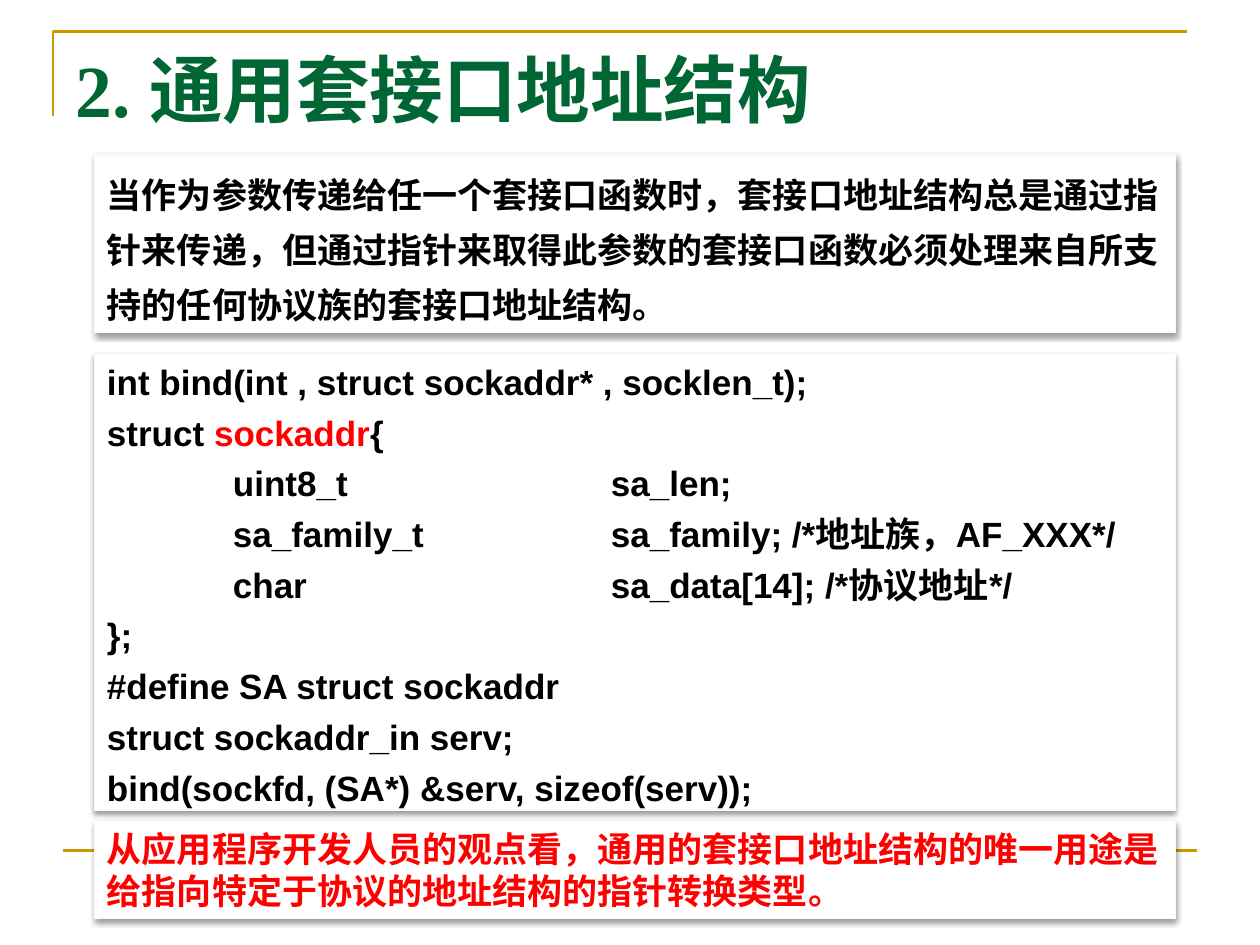
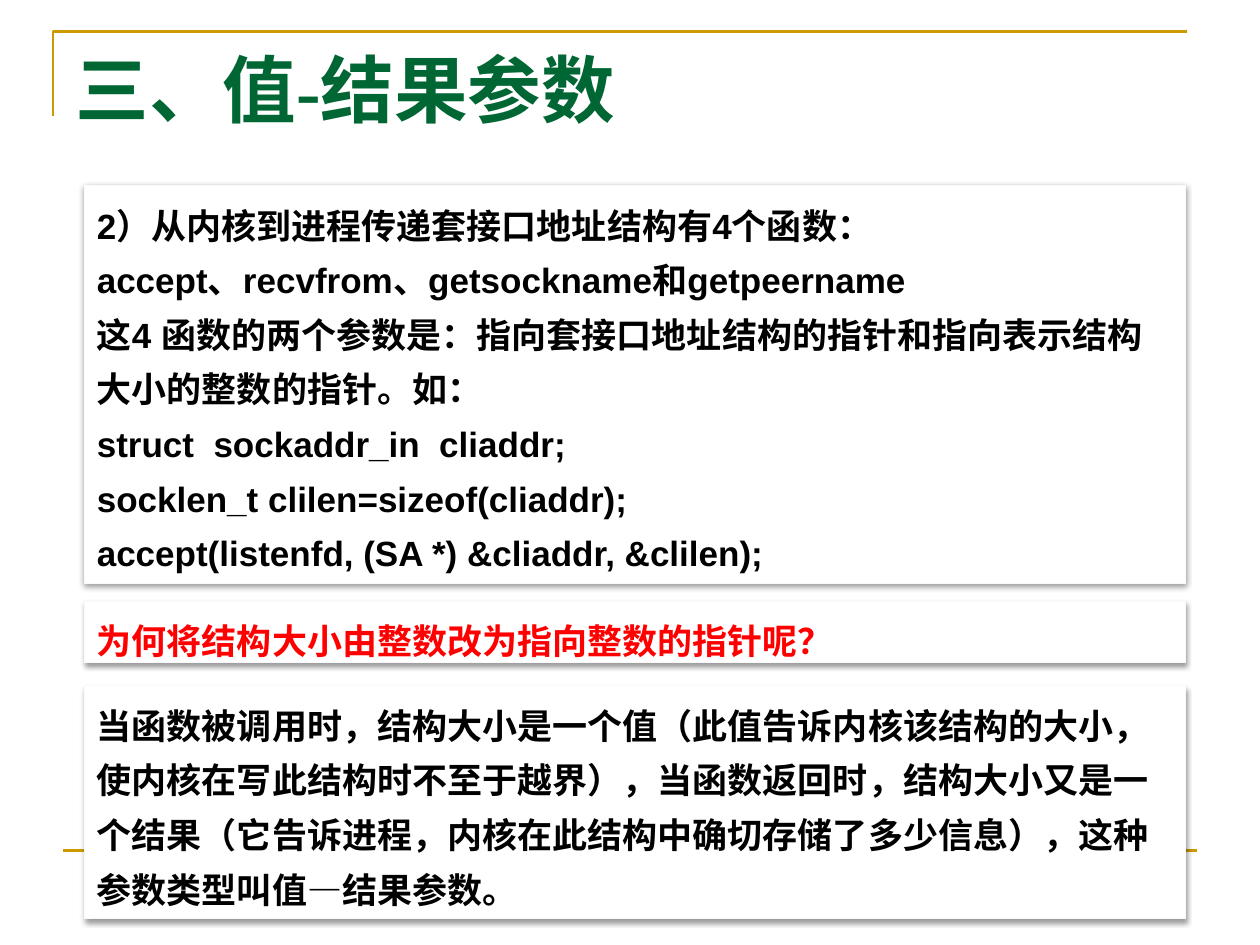
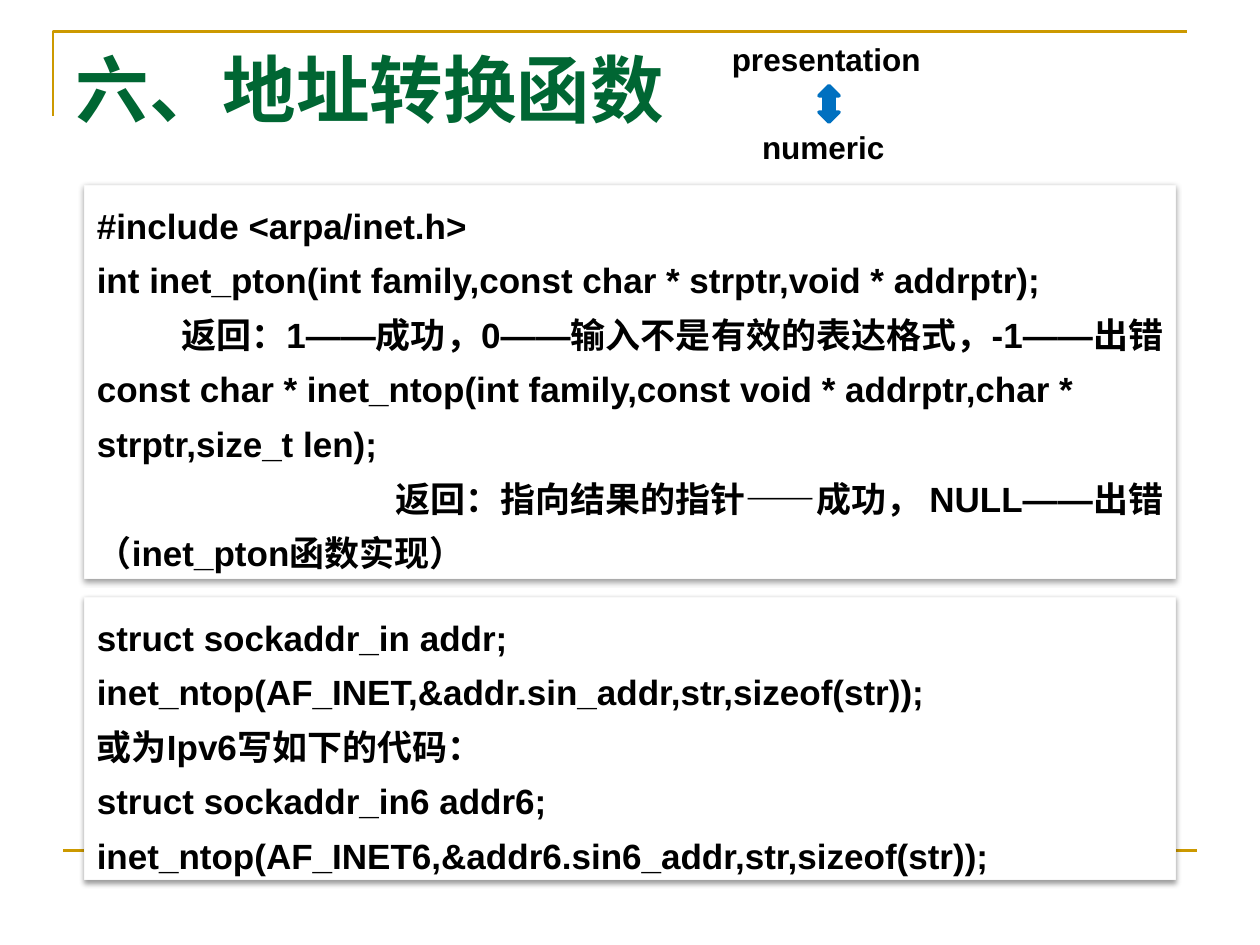
from dataclasses import dataclass

from lxml import etree
from pptx import Presentation
from pptx.dml.color import RGBColor as RGB
from pptx.enum.shapes import MSO_CONNECTOR as CONN, MSO_SHAPE as SHAPE
from pptx.enum.text import MSO_ANCHOR as ANCHOR, PP_ALIGN as ALIGN
from pptx.oxml.ns import qn
from pptx.util import Inches, Pt


@dataclass
class Theme:
    gold: RGB = RGB(0xCC, 0x99, 0x00)
    green: RGB = RGB(0x00, 0x66, 0x33)
    red: RGB = RGB(0xFF, 0x00, 0x00)
    black: RGB = RGB(0x00, 0x00, 0x00)
    white: RGB = RGB(0xFF, 0xFF, 0xFF)
    edge: RGB = RGB(0xF9, 0xF9, 0xF9)
    blue: RGB = RGB(0x00, 0x70, 0xC0)
    title_font: str = "Times New Roman"
    body_font: str = "Arial"
    title_size: Pt = Pt(42)
    body_size: Pt = Pt(20)
    label_size: Pt = Pt(18)


T = Theme()


def set_font(r, name, size, color):
    r.font.name = name
    r.font.size = size
    r.font.bold = True
    r.font.color.rgb = color


def add_card(s, at, lines, color=T.black, spacing=1.3, before=0, tabs=(), right=()):
    """White shadowed card; a line given as a tuple has its odd parts in red."""
    sp = s.shapes.add_shape(SHAPE.RECTANGLE, *map(Inches, at))
    sp.fill.solid()
    sp.fill.fore_color.rgb = T.white
    sp.line.color.rgb = T.edge
    sp.line.width = Pt(0.75)
    sp.shadow.inherit = False
    effects = sp.element.spPr.find(qn("a:effectLst"))
    shadow = etree.SubElement(effects, qn("a:outerShdw"), blurRad="40000",
                              dist="20000", dir="5400000", rotWithShape="0")
    black = etree.SubElement(shadow, qn("a:srgbClr"), val=str(T.black))
    etree.SubElement(black, qn("a:alpha"), val="38000")

    tf = sp.text_frame
    tf.word_wrap = True
    tf.vertical_anchor = ANCHOR.TOP
    for i, line in enumerate(lines):
        p = tf.paragraphs[0] if i == 0 else tf.add_paragraph()
        if tabs:
            tab_list = etree.SubElement(p._p.get_or_add_pPr(), qn("a:tabLst"))
            for pos in tabs:
                etree.SubElement(tab_list, qn("a:tab"), pos=str(Inches(pos)), algn="l")
        p.alignment = ALIGN.RIGHT if i in right else ALIGN.LEFT
        p.line_spacing = spacing
        if i:
            p.space_before = Pt(before)
        for j, part in enumerate((line,) if isinstance(line, str) else line):
            r = p.add_run()
            r.text = part
            set_font(r, T.body_font, T.body_size, T.red if j % 2 else color)


prs = Presentation()
prs.slide_width, prs.slide_height = Inches(10), Inches(7.5)
layout = prs.slide_layouts[5]

# Slides and their titles
slides = []
for title in ("2. 通用套接口地址结构", "三、值-结果参数", "六、地址转换函数"):
    s = prs.slides.add_slide(layout)
    sp = s.shapes.title
    sp.left, sp.top, sp.width, sp.height = map(Inches, (0.5, 0.3, 8.28, 1.25))
    tf = sp.text_frame
    tf.text = title
    tf.vertical_anchor = ANCHOR.TOP
    p = tf.paragraphs[0]
    p.alignment = ALIGN.LEFT
    set_font(p.runs[0], T.title_font, T.title_size, T.green)
    slides.append(s)
generic, value_result, conversion = slides

# Gold corner and foot rule, drawn once and moved to the shared layout
fb = generic.shapes.build_freeform(Inches(0.42), Inches(0.92))
fb.add_line_segments([(Inches(0.42), Inches(0.25)), (Inches(9.42), Inches(0.25))],
                     close=False)
corner = fb.convert_to_shape()
corner.fill.background()
corner.shadow.inherit = False
foot = generic.shapes.add_connector(CONN.STRAIGHT, Inches(0.5), Inches(6.75),
                                    Inches(9.5), Inches(6.75))
for sp in (corner, foot):
    sp.line.color.rgb = T.gold
    sp.line.width = Pt(1.5)
etree.SubElement(foot.element.spPr, qn("a:effectLst"))
for sp in (corner, foot):
    layout.shapes.element.append(sp.element)

# Slide 1: generic socket address structure
add_card(generic, (0.75, 1.23, 8.58, 1.41), [
    "当作为参数传递给任一个套接口函数时，套接口地址结构总是通过指针来传递，"
    "但通过指针来取得此参数的套接口函数必须处理来自所支持的任何协议族的套接口地址结构。",
])
add_card(generic, (0.75, 2.81, 8.58, 3.62), [
    "int bind(int , struct sockaddr* , socklen_t);",
    ("struct ", "sockaddr", "{"),
    "\tuint8_t\tsa_len;",
    "\tsa_family_t\tsa_family; /*地址族，AF_XXX*/",
    "\tchar\tsa_data[14]; /*协议地址*/",
    "};",
    "#define SA struct sockaddr",
    "struct sockaddr_in serv;",
    "bind(sockfd, (SA*) &serv, sizeof(serv));",
], spacing=1.0, before=5, tabs=(1, 4))
add_card(generic, (0.75, 6.52, 8.58, 0.77), [
    "从应用程序开发人员的观点看，通用的套接口地址结构的唯一用途是"
    "给指向特定于协议的地址结构的指针转换类型。",
], color=T.red, spacing=1.0)

# Slide 2: value-result arguments
add_card(value_result, (0.67, 1.47, 8.74, 3.16), [
    "2）从内核到进程传递套接口地址结构有4个函数：",
    "accept、recvfrom、getsockname和getpeername",
    "这4 函数的两个参数是：指向套接口地址结构的指针和指向表示结构大小的整数的指针。如：",
    "struct  sockaddr_in  cliaddr;",
    "socklen_t clilen=sizeof(cliaddr);",
    "accept(listenfd, (SA *) &cliaddr, &clilen);",
])
add_card(value_result, (0.67, 4.77, 8.74, 0.49),
         ["为何将结构大小由整数改为指向整数的指针呢？"], color=T.red)
add_card(value_result, (0.67, 5.44, 8.74, 1.85), [
    "当函数被调用时，结构大小是一个值（此值告诉内核该结构的大小，"
    "使内核在写此结构时不至于越界），当函数返回时，结构大小又是一个结果"
    "（它告诉进程，内核在此结构中确切存储了多少信息），这种参数类型叫值—结果参数。",
])

# Slide 3: address conversion functions
add_card(conversion, (0.67, 1.47, 8.66, 3.12), [
    "#include <arpa/inet.h>",
    "int inet_pton(int family,const char * strptr,void * addrptr);",
    "返回：1——成功，0——输入不是有效的表达格式，-1——出错",
    "const char * inet_ntop(int family,const void * addrptr,char * strptr,size_t len);",
    "返回：指向结果的指针——成功， NULL——出错",
    "（inet_pton函数实现）",
], right=(2, 4))
add_card(conversion, (0.67, 4.74, 8.66, 2.24), [
    "struct sockaddr_in addr;",
    "inet_ntop(AF_INET,&addr.sin_addr,str,sizeof(str));",
    "或为Ipv6写如下的代码：",
    "struct sockaddr_in6 addr6;",
    "inet_ntop(AF_INET6,&addr6.sin6_addr,str,sizeof(str));",
])

# Slide 3: the two address forms and the arrow between them
for text, left, top, width in (("presentation", 5.71, 0.27, 1.73),
                               ("numeric", 5.95, 0.97, 1.26)):
    sp = conversion.shapes.add_textbox(*map(Inches, (left, top, width, 0.4)))
    tf = sp.text_frame
    tf.word_wrap = False
    tf.text = text
    set_font(tf.paragraphs[0].runs[0], T.body_font, T.label_size, T.black)
arrow = conversion.shapes.add_shape(SHAPE.UP_DOWN_ARROW,
                                    *map(Inches, (6.5, 0.68, 0.16, 0.29)))
arrow.shadow.inherit = False
arrow.fill.solid()
arrow.fill.fore_color.rgb = T.blue
arrow.line.color.rgb = T.blue
arrow.line.width = Pt(2)

prs.save("out.pptx")
